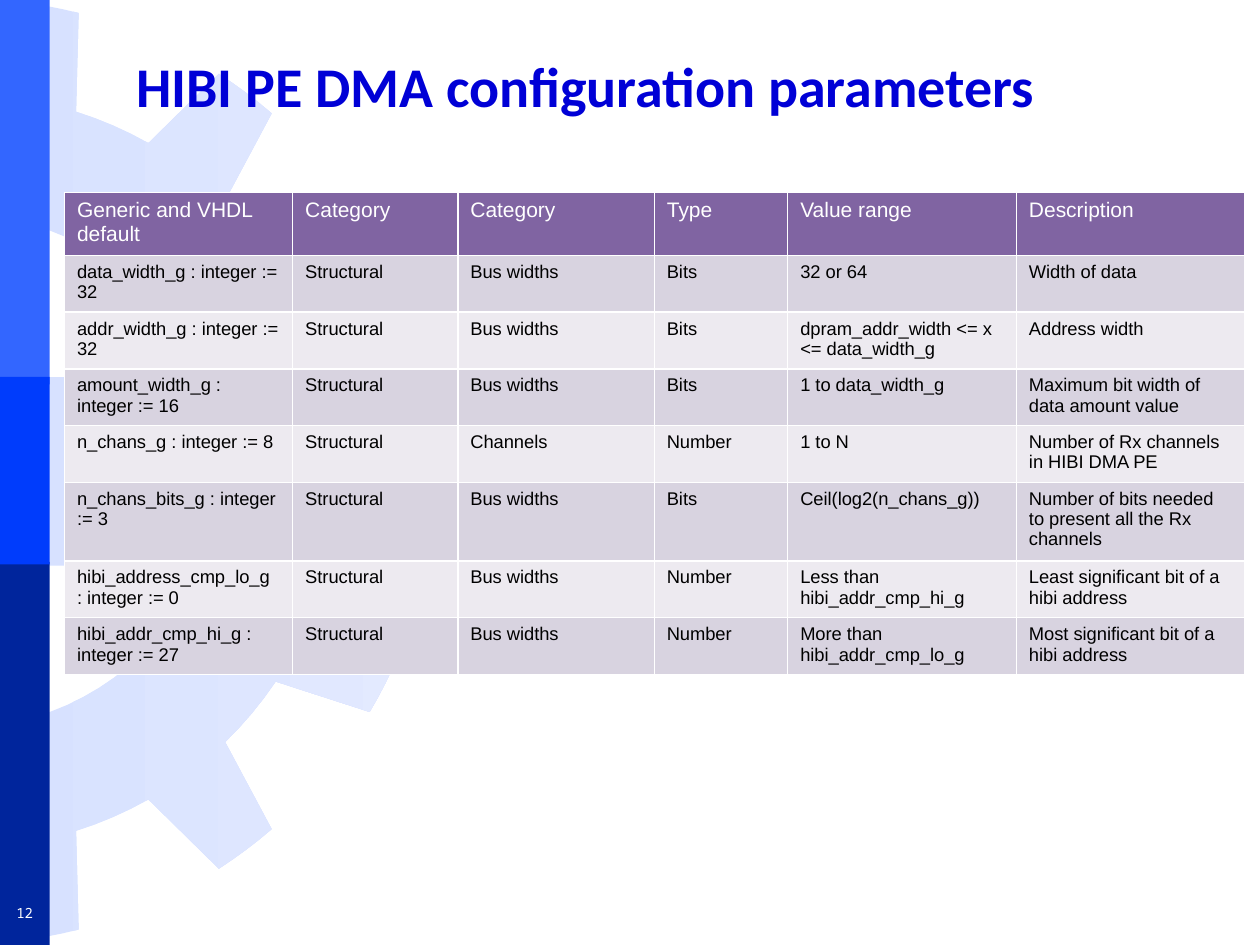
from math import cos, radians, sin

from pptx import Presentation
from pptx.dml.color import RGBColor
from pptx.enum.shapes import MSO_SHAPE
from pptx.enum.text import MSO_ANCHOR, PP_ALIGN
from pptx.util import Cm, Pt

TITLE = "HIBI PE DMA configuration parameters"
PAGE_NUMBER = "12"
HEADER = ["Generic and VHDL default", "Category", "Category", "Type", "Value range", "Description"]
PARAMETERS = [
    ("data_width_g : integer := 32", "Structural", "Bus widths", "Bits",
     "32 or 64", "Width of data"),
    ("addr_width_g : integer := 32", "Structural", "Bus widths", "Bits",
     "dpram_addr_width <= x <= data_width_g", "Address width"),
    ("amount_width_g : integer := 16", "Structural", "Bus widths", "Bits",
     "1 to data_width_g", "Maximum bit width of data amount value"),
    ("n_chans_g : integer := 8", "Structural", "Channels", "Number",
     "1 to N", "Number of Rx channels in HIBI DMA PE"),
    ("n_chans_bits_g : integer := 3", "Structural", "Bus widths", "Bits",
     "Ceil(log2(n_chans_g))", "Number of bits needed to present all the Rx channels"),
    ("hibi_address_cmp_lo_g : integer := 0", "Structural", "Bus widths", "Number",
     "Less than hibi_addr_cmp_hi_g", "Least significant bit of a hibi address"),
    ("hibi_addr_cmp_hi_g : integer := 27", "Structural", "Bus widths", "Number",
     "More than hibi_addr_cmp_lo_g", "Most significant bit of a hibi address"),
]
COLUMN_WIDTHS = [4.6, 3.33, 3.96, 2.69, 4.61, 4.61]
ROW_HEIGHT = 1.04
HEADER_FILL, BAND_FILLS = "8064A2", ("D8D3E0", "EDEAF0")

# Top, height and colour of the bars on the left edge
BAR_WIDTH = 1
BARS = [(0, 7.75, "3366FF"), (11.33, 7.72, "00259C"), (7.6, 3.78, "003CFC")]

# Right half of a gear: lengths in cm, angles in degrees from its horizontal axis
GEAR_CENTER_X, GEAR_CENTER_Y = -0.75, 9.5
TIP_RADIUS, ROOT_RADIUS, HOLE_RADIUS = 9.53, 7.6, 5.16
TOOTH_PITCH, HALF_TIP, HALF_ROOT = 26.6, 4, 7.3
LAST_TOOTH = 3
SPOKE_ANGLE, HOLE_END_ANGLE = 21.6, 78
GEAR_COLORS = ("D7E1FF", "E3EAFF")


def color(value):
    return RGBColor.from_string(value)


def add_run(paragraph, text, size, font_name, font_color, bold=False):
    run = paragraph.add_run()
    run.text = text
    run.font.size = Pt(size)
    run.font.name = font_name
    run.font.bold = bold
    run.font.color.rgb = color(font_color)


def add_text_box(slide, left, top, width, height, wrap):
    """Add a vertically centred text box and return its frame."""
    frame = slide.shapes.add_textbox(Cm(left), Cm(top), Cm(width), Cm(height)).text_frame
    frame.word_wrap = wrap
    frame.vertical_anchor = MSO_ANCHOR.MIDDLE
    return frame


def arc(radius, start, end, steps):
    """Return points on a circle around the gear centre, both ends included."""
    angles = [radians(start + (end - start) * step / steps) for step in range(steps + 1)]
    return [(GEAR_CENTER_X + radius * cos(angle), GEAR_CENTER_Y + radius * sin(angle))
            for angle in angles]


def gear_outline():
    """Go down around the teeth, then back up along the hole and its spoke."""
    points = []
    for tooth in range(-LAST_TOOTH, LAST_TOOTH + 1):
        middle = tooth * TOOTH_PITCH
        points += arc(TIP_RADIUS, middle - HALF_TIP, middle + HALF_TIP, 4)
        if tooth < LAST_TOOTH:
            points += arc(ROOT_RADIUS, middle + HALF_ROOT, middle + TOOTH_PITCH - HALF_ROOT, 4)
    lower_hole = arc(HOLE_RADIUS, HOLE_END_ANGLE, SPOKE_ANGLE, 14)
    upper_hole = arc(HOLE_RADIUS, -SPOKE_ANGLE, -HOLE_END_ANGLE, 14)
    spoke_end = [(0, lower_hole[-1][1]), (0, upper_hole[0][1])]
    return points + lower_hole + spoke_end + upper_hole


def add_gear(slide):
    points = [(Cm(x), Cm(y)) for x, y in gear_outline()]
    builder = slide.shapes.build_freeform(*points[0])
    builder.add_line_segments(points[1:], close=True)
    gear = builder.convert_to_shape()
    gear.shadow.inherit = False
    gear.line.fill.background()
    gear.fill.gradient()
    gear.fill.gradient_angle = 0
    for stop, value in zip(gear.fill.gradient_stops, GEAR_COLORS):
        stop.color.rgb = color(value)


def add_bars(slide):
    for top, height, fill in BARS:
        bar = slide.shapes.add_shape(MSO_SHAPE.RECTANGLE, 0, Cm(top), Cm(BAR_WIDTH), Cm(height))
        bar.shadow.inherit = False
        bar.line.fill.background()
        bar.fill.solid()
        bar.fill.fore_color.rgb = color(fill)


def add_parameter_table(slide):
    """Add the table; its white borders come from the default table style."""
    rows = [HEADER, *PARAMETERS]
    table = slide.shapes.add_table(
        len(rows), len(HEADER), Cm(1.3), Cm(3.88),
        Cm(sum(COLUMN_WIDTHS)), Cm(ROW_HEIGHT * len(rows))).table
    for column, width in zip(table.columns, COLUMN_WIDTHS):
        column.width = Cm(width)
    for row_index, texts in enumerate(rows):
        is_header = row_index == 0
        fill = HEADER_FILL if is_header else BAND_FILLS[(row_index - 1) % 2]
        size, font_color = (12, "FFFFFF") if is_header else (10.5, "000000")
        for column_index, text in enumerate(texts):
            cell = table.cell(row_index, column_index)
            cell.fill.solid()
            cell.fill.fore_color.rgb = color(fill)
            add_run(cell.text_frame.paragraphs[0], text, size, "Arial", font_color)


def main():
    presentation = Presentation()
    presentation.slide_width, presentation.slide_height = Cm(25.4), Cm(19.05)
    slide = presentation.slides.add_slide(presentation.slide_layouts[6])
    add_gear(slide)
    add_bars(slide)

    title = add_text_box(slide, 2.5, 0.53, 22, 2.39, True)
    add_run(title.paragraphs[0], TITLE, 32, "Calibri", "0000D6", bold=True)

    number = add_text_box(slide, 0, 18.07, BAR_WIDTH, 0.66, False)
    number.paragraphs[0].alignment = PP_ALIGN.CENTER
    add_run(number.paragraphs[0], PAGE_NUMBER, 8, "Noto Sans Mono", "FFFFFF")

    add_parameter_table(slide)
    presentation.save("out.pptx")


if __name__ == "__main__":
    main()
